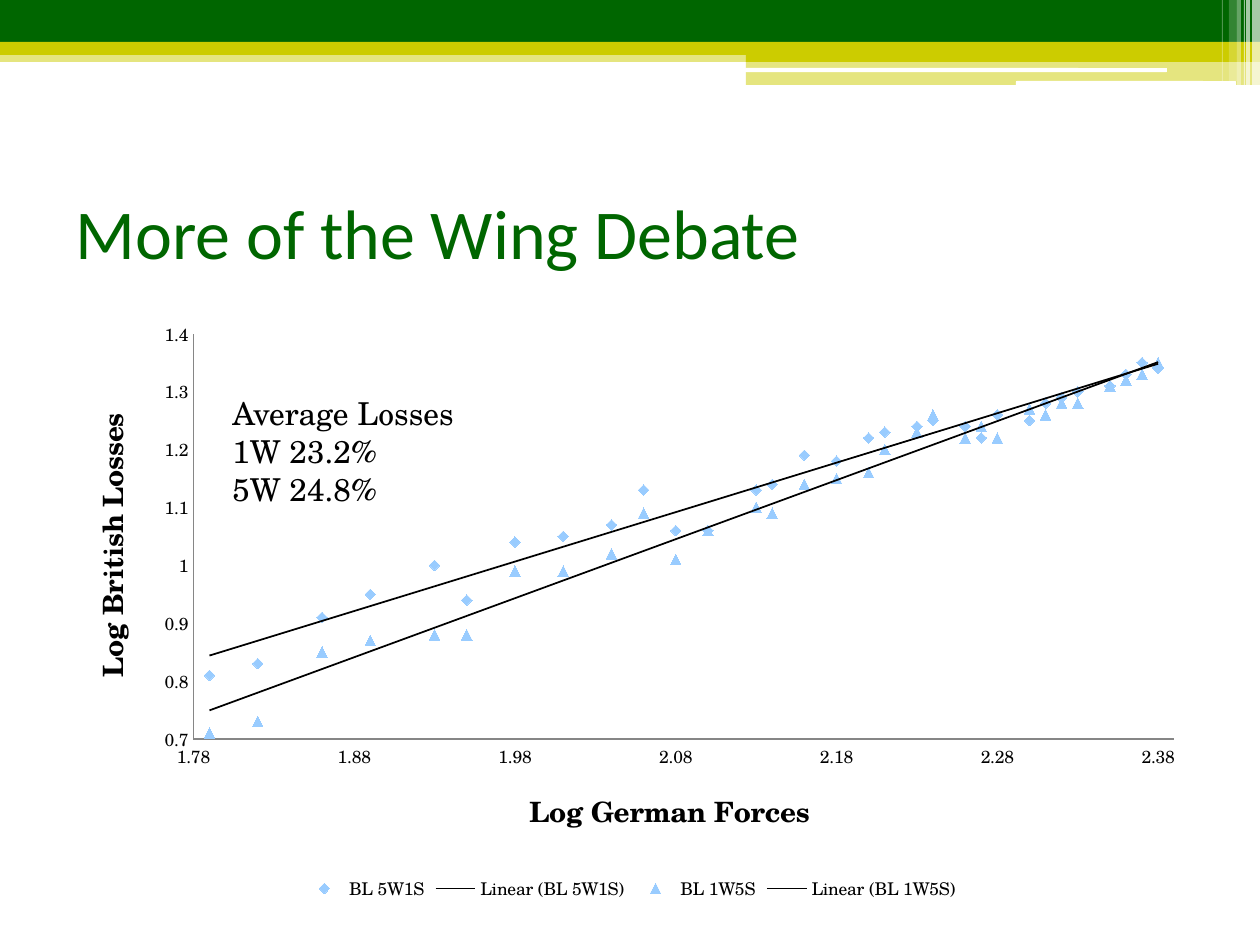
from lxml import etree
from pptx import Presentation
from pptx import util as u
from pptx.chart.data import XyChartData
from pptx.dml.color import RGBColor
from pptx.enum import chart as charts, shapes, text
from pptx.oxml import parse_xml
from pptx.oxml.ns import nsdecls, qn

SCALE = 914400 / 126
SERIF = "TeX Gyre Schola"
GREEN, YELLOW, WHITE, BLACK = "006600", "CCCC00", "FFFFFF", "000000"
MARKER, AXIS = "99CCFF", "868686"

# left, top, width, height, colour, opacity in percent
BANDS = [
    (0, 50, 1260, 12, YELLOW, 50),
    (0, 0, 1260, 42, GREEN, 100),
    (0, 42, 1260, 13, YELLOW, 100),
    (746, 49, 514, 13, YELLOW, 100),
    (746, 61, 514, 24, YELLOW, 50),
]
HIGHLIGHTS = [(745, 68, 422, 4), (1016, 81, 220, 5)]
# left, width, height, opacity in percent
STRIPES = [
    (1252, 8, 86, 65),
    (1246, 4, 86, 65),
    (1244, 1, 86, 60),
    (1237, 4, 86, 40),
    (1229, 8, 81, 20),
    (1222, 1, 81, 30),
]

GERMAN_FORCES = [
    1.79, 1.82, 1.86, 1.89, 1.93, 1.95, 1.98, 2.01, 2.04, 2.06, 2.08,
    2.1, 2.13, 2.14, 2.16, 2.18, 2.2, 2.21, 2.23, 2.24, 2.26, 2.27,
    2.28, 2.3, 2.31, 2.32, 2.33, 2.35, 2.36, 2.37, 2.38,
]
BRITISH_LOSSES = {
    "BL 5W1S": [
        0.81, 0.83, 0.91, 0.95, 1, 0.94, 1.04, 1.05, 1.07, 1.13, 1.06,
        1.06, 1.13, 1.14, 1.19, 1.18, 1.22, 1.23, 1.24, 1.25, 1.24, 1.22,
        1.26, 1.25, 1.28, 1.29, 1.3, 1.31, 1.33, 1.35, 1.34,
    ],
    "BL 1W5S": [
        0.71, 0.73, 0.85, 0.87, 0.88, 0.88, 0.99, 0.99, 1.02, 1.09, 1.01,
        1.06, 1.1, 1.09, 1.14, 1.15, 1.16, 1.2, 1.23, 1.26, 1.22, 1.24,
        1.22, 1.27, 1.26, 1.28, 1.28, 1.31, 1.32, 1.33, 1.35,
    ],
}
MARKERS = [charts.XL_MARKER_STYLE.DIAMOND, charts.XL_MARKER_STYLE.TRIANGLE]


def px(*lengths):
    return [u.Emu(round(length * SCALE)) for length in lengths]


def color(hex_value):
    return RGBColor.from_string(hex_value)


def set_font(font, size, name, hex_value, bold=False):
    font.size = u.Pt(size)
    font.name = name
    font.bold = bold
    font.color.rgb = color(hex_value)


def add_block(slide, box, fill, opacity=100, kind=shapes.MSO_SHAPE.RECTANGLE):
    shape = slide.shapes.add_shape(kind, *px(*box))
    shape.shadow.inherit = False
    shape.line.fill.background()
    shape.fill.solid()
    shape.fill.fore_color.rgb = color(fill)
    if opacity < 100:
        rgb = shape.fill._xPr.find(".//" + qn("a:srgbClr"))
        etree.SubElement(rgb, qn("a:alpha"), val=str(opacity * 1000))


def add_header(slide):
    for *box, fill, opacity in BANDS:
        add_block(slide, box, fill, opacity)
    for box in HIGHLIGHTS:
        add_block(slide, box, WHITE, kind=shapes.MSO_SHAPE.ROUNDED_RECTANGLE)
    for left, width, height, opacity in STRIPES:
        add_block(slide, (left, 0, width, height), WHITE, opacity)


def set_title(slide, wording):
    title = slide.shapes.title
    title.left, title.top, title.width, title.height = px(63, 158, 1134, 147)
    title.text_frame.vertical_anchor = text.MSO_ANCHOR.MIDDLE
    paragraph = title.text_frame.paragraphs[0]
    paragraph.alignment = text.PP_ALIGN.LEFT
    run = paragraph.add_run()
    run.text = wording
    set_font(run.font, 40, "Calibri", GREEN)


def format_axis(axis, wording, minimum, maximum):
    axis.minimum_scale, axis.maximum_scale = minimum, maximum
    axis.major_unit = 0.1
    axis.has_major_gridlines = False
    axis.major_tick_mark = axis.minor_tick_mark = charts.XL_TICK_MARK.NONE
    axis.format.line.color.rgb = color(AXIS)
    axis.format.line.width = u.Pt(0.75)
    run = axis.axis_title.text_frame.paragraphs[0].add_run()
    run.text = wording
    set_font(run.font, 16, SERIF, BLACK, bold=True)


def add_trend_line(series):
    trend = parse_xml(
        f'<c:trendline {nsdecls("c", "a")}><c:spPr><a:ln w="12700"><a:solidFill>'
        f'<a:srgbClr val="{BLACK}"/></a:solidFill></a:ln></c:spPr>'
        '<c:trendlineType val="linear"/><c:dispRSqr val="0"/>'
        '<c:dispEq val="0"/></c:trendline>'
    )
    series._element.find(qn("c:xVal")).addprevious(trend)


def format_series(series, marker_style):
    series.format.line.fill.background()
    series.marker.style = marker_style
    series.marker.size = 6
    series.marker.format.fill.solid()
    series.marker.format.fill.fore_color.rgb = color(MARKER)
    series.marker.format.line.fill.background()
    add_trend_line(series)


def set_plot_layout(chart, **fractions):
    """Fix the inner plot area as fractions of the chart."""
    plot_area = chart._chartSpace.chart.plotArea
    for old in plot_area.findall(qn("c:layout")):
        plot_area.remove(old)
    values = "".join(f'<c:{key} val="{value}"/>' for key, value in fractions.items())
    plot_area.insert(0, parse_xml(
        f'<c:layout {nsdecls("c")}><c:manualLayout><c:layoutTarget val="inner"/>'
        '<c:xMode val="edge"/><c:yMode val="edge"/>'
        f'{values}</c:manualLayout></c:layout>'
    ))


def add_losses_chart(slide):
    data = XyChartData()
    for name, losses in BRITISH_LOSSES.items():
        series = data.add_series(name)
        for point in zip(GERMAN_FORCES, losses):
            series.add_data_point(*point)
    chart = slide.shapes.add_chart(
        charts.XL_CHART_TYPE.XY_SCATTER, *px(63, 310, 1134, 596), data
    ).chart
    set_font(chart.font, 10, SERIF, BLACK)
    chart.has_title = False
    chart.has_legend = True
    chart.legend.position = charts.XL_LEGEND_POSITION.BOTTOM
    chart.legend.include_in_layout = False
    chart.plots[0].vary_by_categories = False
    format_axis(chart.category_axis, "Log German Forces", 1.78, 2.39)
    format_axis(chart.value_axis, "Log British Losses", 0.7, 1.4)
    for series, marker_style in zip(chart.plots[0].series, MARKERS):
        series.smooth = False
        format_series(series, marker_style)
    set_plot_layout(chart, x=0.115, y=0.04, w=0.865, h=0.68)


def add_text(slide, box, lines):
    frame = slide.shapes.add_textbox(*px(*box)).text_frame
    frame.word_wrap = True
    frame.auto_size = text.MSO_AUTO_SIZE.SHAPE_TO_FIT_TEXT
    for index, line in enumerate(lines):
        paragraph = frame.add_paragraph() if index else frame.paragraphs[0]
        run = paragraph.add_run()
        run.text = line
        set_font(run.font, 18, SERIF, BLACK)


def main():
    presentation = Presentation()
    presentation.slide_width, presentation.slide_height = px(1260, 945)
    slide = presentation.slides.add_slide(presentation.slide_layouts[5])
    add_header(slide)
    set_title(slide, "More of the Wing Debate")
    add_losses_chart(slide)
    add_text(slide, (220, 388, 262, 127), ["Average Losses", "1W 23.2%", "5W 24.8%"])
    presentation.save("out.pptx")


if __name__ == "__main__":
    main()
